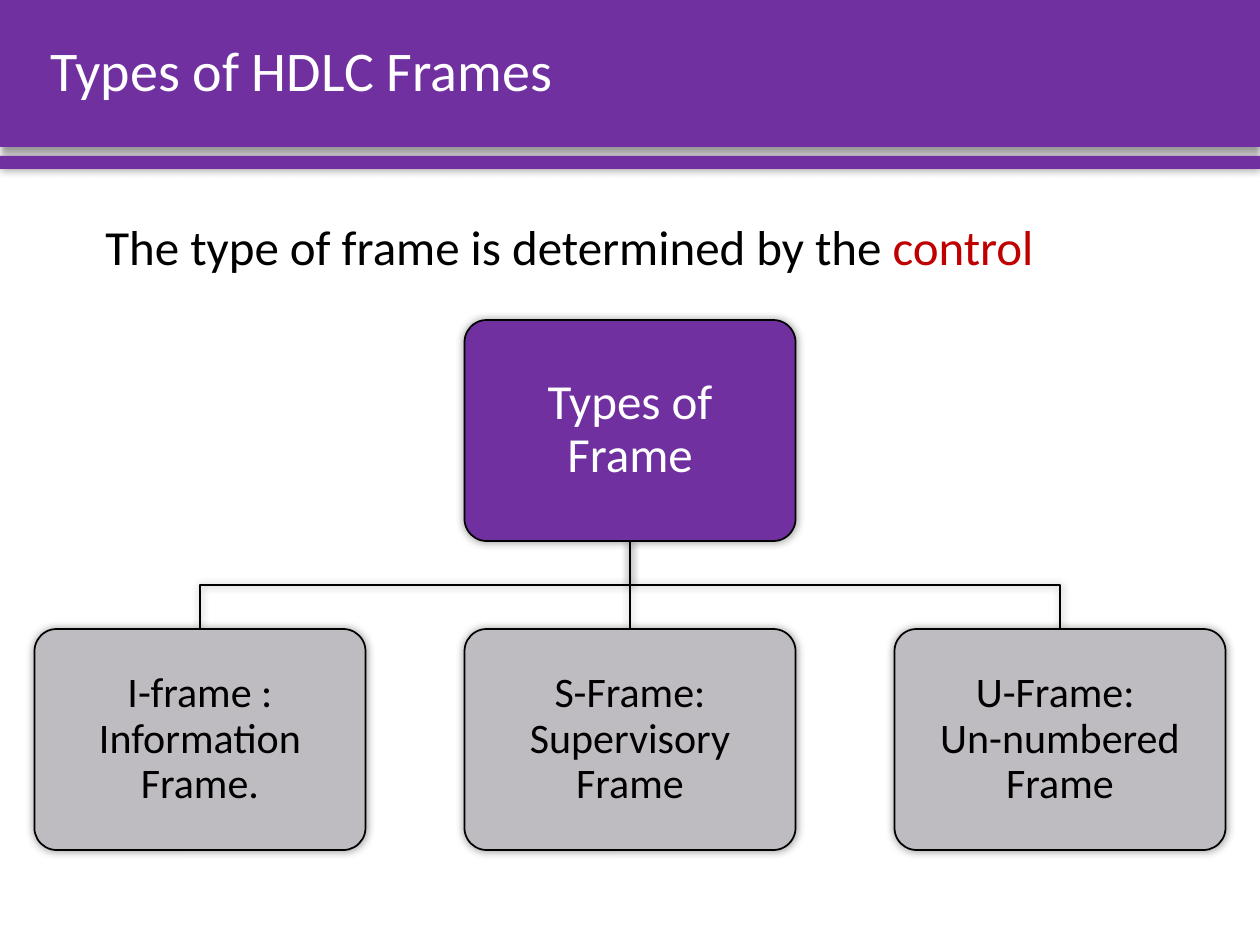
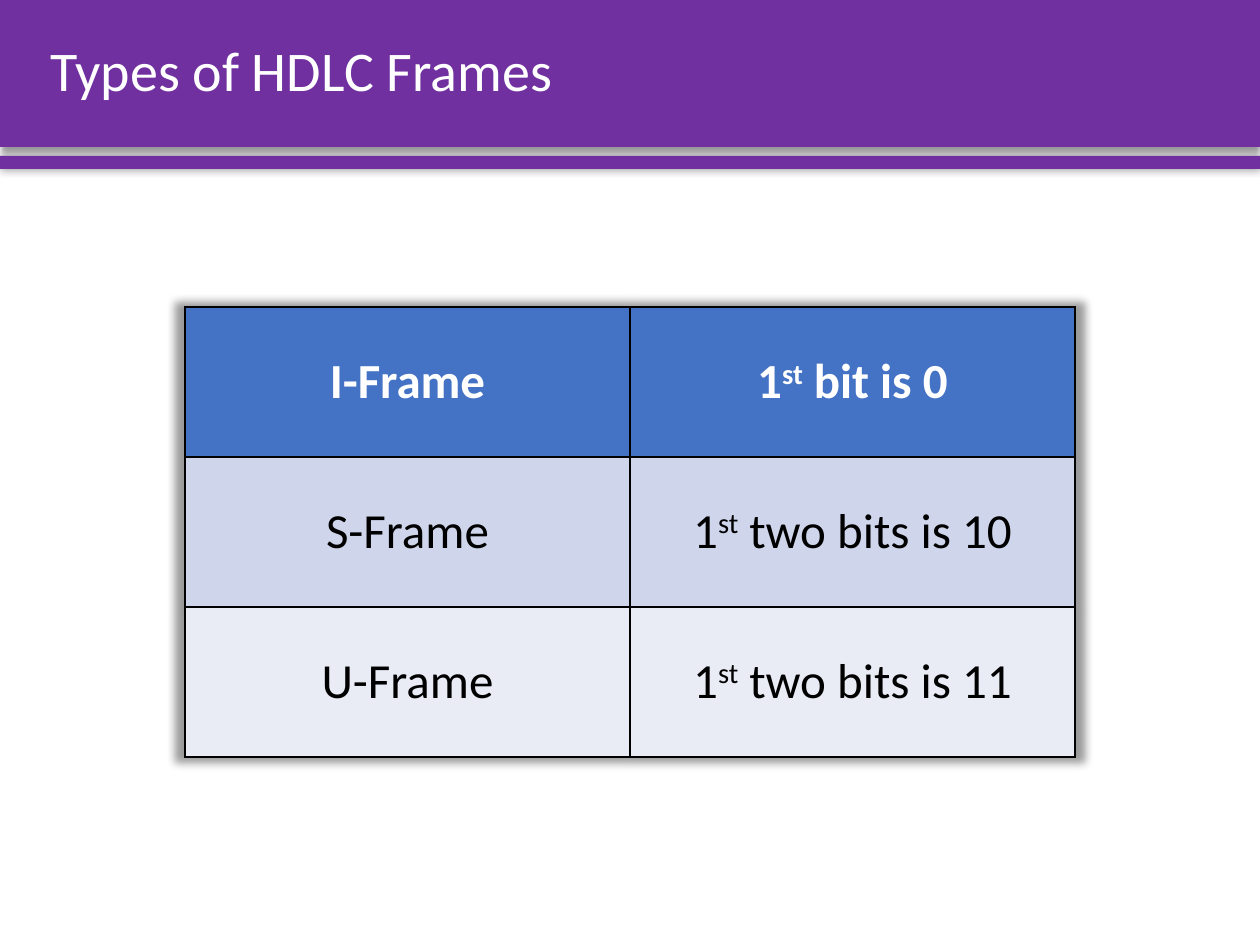
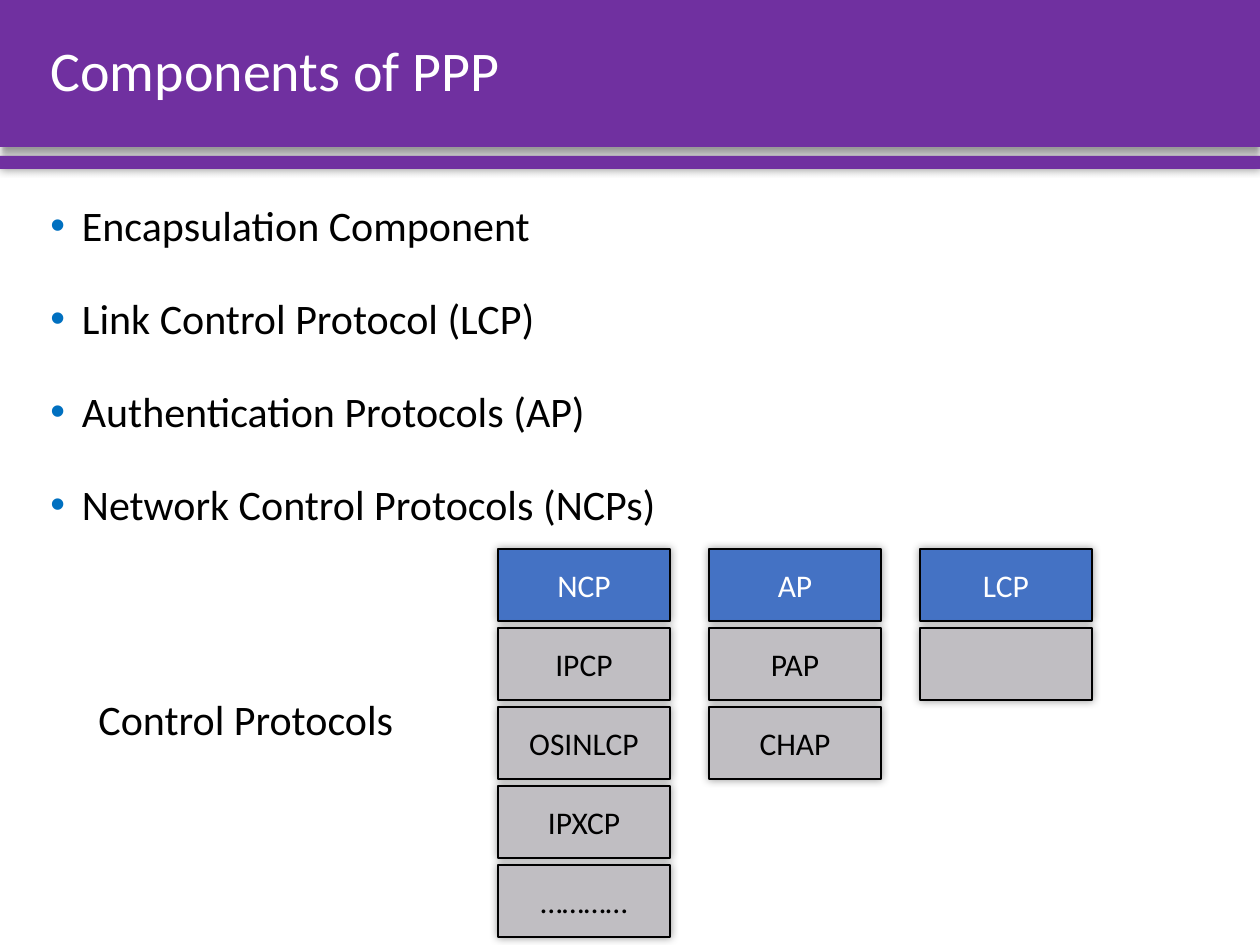
from pptx import Presentation
from pptx.dml.color import RGBColor
from pptx.enum.shapes import MSO_CONNECTOR, MSO_SHAPE
from pptx.enum.text import MSO_ANCHOR, MSO_AUTO_SIZE, PP_ALIGN
from pptx.oxml import parse_xml
from pptx.oxml.ns import nsdecls
from pptx.util import Emu, Pt

RECT, ROUNDED = MSO_SHAPE.RECTANGLE, MSO_SHAPE.ROUNDED_RECTANGLE
STRAIGHT = MSO_CONNECTOR.STRAIGHT
LEFT, CENTER, JUSTIFY = PP_ALIGN.LEFT, PP_ALIGN.CENTER, PP_ALIGN.JUSTIFY
TOP, MIDDLE = MSO_ANCHOR.TOP, MSO_ANCHOR.MIDDLE
NO_AUTOFIT = MSO_AUTO_SIZE.NONE

FONT = "Calibri"
PURPLE, BLUE, RED, BULLET = "7030A0", "4472C4", "C00000", "0070C0"
BLACK, WHITE = "000000", "FFFFFF"
NODE_GREY, CELL_GREY = "BFBCC1", "C0BEC2"
ROW_FILLS = [BLUE, "CFD5EA", "E9EBF5"]
PX_PER_INCH = 126


def px(n):
    return Emu(round(n * 914400 / PX_PER_INCH))


def rgb(color):
    return RGBColor.from_string(color)


# Text
def add_run(p, text, size=24, color=BLACK, bold=False, baseline=0):
    r = p.add_run()
    r.text = text
    r.font.name, r.font.size, r.font.bold = FONT, Pt(size), bold
    r.font.color.rgb = rgb(color)
    if baseline:
        r.font._element.set("baseline", str(baseline * 1000))


def write(p, text, align=LEFT, spacing=1.0, **fmt):
    """Text may hold line breaks; '^' marks sit around a superscript."""
    p.alignment, p.line_spacing = align, spacing
    for i, line in enumerate(text.split("\n")):
        if i:
            p.add_line_break()
        for j, part in enumerate(line.split("^")):
            add_run(p, part, baseline=30 * (j % 2), **fmt)


def add_textbox(s, x, y, w, h):
    tf = s.shapes.add_textbox(px(x), px(y), px(w), px(h)).text_frame
    tf.word_wrap = True
    return tf


def add_bullets(s, x, y, w, h, items):
    tf = add_textbox(s, x, y, w, h)
    for i, item in enumerate(items):
        p = tf.add_paragraph() if i else tf.paragraphs[0]
        write(p, item, align=JUSTIFY, spacing=1.5)
        if i:
            p.space_before = Pt(10)
        pPr = p._p.get_or_add_pPr()
        pPr.set("marL", str(Pt(18)))
        pPr.set("indent", str(-Pt(18)))
        pPr.append(parse_xml(f'<a:buClr {nsdecls("a")}><a:srgbClr val="{BULLET}"/></a:buClr>'))
        pPr.append(parse_xml(f'<a:buFont {nsdecls("a")} typeface="Arial"/>'))
        pPr.append(parse_xml(f'<a:buChar {nsdecls("a")} char="•"/>'))


# Shapes
def shadow(blur=5, dist=0, angle=0, scale=100):
    return parse_xml(
        f'<a:effectLst {nsdecls("a")}><a:outerShdw blurRad="{Pt(blur)}" dist="{Pt(dist)}" '
        f'dir="{angle * 60000}" sx="{scale * 1000}" sy="{scale * 1000}" algn="ctr" '
        f'rotWithShape="0"><a:srgbClr val="{BLACK}"><a:alpha val="40000"/></a:srgbClr>'
        f'</a:outerShdw></a:effectLst>')


def outline(sp):
    sp.line.color.rgb = rgb(BLACK)
    sp.line.width = Pt(1)
    sp._element.spPr.append(shadow())


def add_band(s, y, h, **effect):
    sp = s.shapes.add_shape(RECT, 0, px(y), px(1260), px(h))
    sp.fill.solid()
    sp.fill.fore_color.rgb = rgb(PURPLE)
    sp.line.fill.background()
    sp._element.spPr.append(shadow(**effect))
    return sp


def add_box(s, x, y, w, h, text, fill, kind=RECT, inset=6, **fmt):
    sp = s.shapes.add_shape(kind, px(x), px(y), px(w), px(h))
    if kind == ROUNDED:
        sp.adjustments[0] = 0.1
    sp.fill.solid()
    sp.fill.fore_color.rgb = rgb(fill)
    outline(sp)
    if text:
        tf = sp.text_frame
        tf.word_wrap, tf.vertical_anchor = True, MIDDLE
        tf.margin_left = tf.margin_right = px(inset)
        write(tf.paragraphs[0], text, align=CENTER, **fmt)


def add_branch(s, x1, y1, x2, y2):
    if x1 == x2:
        sp = s.shapes.add_connector(STRAIGHT, px(x1), px(y1), px(x2), px(y2))
    else:
        mid = (y1 + y2) // 2
        fb = s.shapes.build_freeform(px(x1), px(y1))
        fb.add_line_segments([(px(x), px(y)) for x, y in [(x1, mid), (x2, mid), (x2, y2)]],
                             close=False)
        sp = fb.convert_to_shape()
        sp.fill.background()
    outline(sp)


# Table
def add_cell_borders(cell):
    tcPr = cell._tc.get_or_add_tcPr()
    for i, side in enumerate("LRTB"):
        tcPr.insert(i, parse_xml(
            f'<a:ln{side} {nsdecls("a")} w="{Pt(1)}"><a:solidFill>'
            f'<a:srgbClr val="{BLACK}"/></a:solidFill></a:ln{side}>'))


def add_frame_table(s, x, y, w, h, rows):
    table = s.shapes.add_table(len(rows), len(rows[0]), px(x), px(y), px(w), px(h)).table
    table._tbl.tblPr.insert(0, shadow(scale=102))
    for i, row in enumerate(rows):
        for j, text in enumerate(row):
            cell = table.cell(i, j)
            cell.vertical_anchor = MIDDLE
            cell.fill.solid()
            cell.fill.fore_color.rgb = rgb(ROW_FILLS[i])
            add_cell_borders(cell)
            write(cell.text_frame.paragraphs[0], text, align=CENTER, size=28,
                  color=BLACK if i else WHITE, bold=i == 0)


# Slides
def add_bands_to_layout(s):
    tree = s.slide_layout.shapes._spTree
    tree.insert(2, add_band(s, 0, 147, blur=4, dist=3, angle=90)._element)
    tree.insert(3, add_band(s, 156, 13)._element)


def add_slide(prs, title):
    s = prs.slides.add_slide(prs.slide_layouts[5])
    sp = s.shapes.title
    sp.left, sp.top, sp.width, sp.height = px(38), px(0), px(1192), px(146)
    tf = sp.text_frame
    tf.auto_size, tf.vertical_anchor = NO_AUTOFIT, MIDDLE
    write(tf.paragraphs[0], title, spacing=0.9, size=32, color=WHITE)
    return s


def frame_types_slide(prs):
    s = add_slide(prs, "Types of HDLC Frames")
    add_bands_to_layout(s)
    # Frame tree
    w, h, root_y, leaf_y = 331, 221, 320, 629
    center = 630
    node = dict(kind=ROUNDED, inset=15, spacing=0.9)
    leaves = ["I-frame :\nInformation Frame.", "S-Frame: Supervisory Frame",
              "U-Frame: \nUn-numbered Frame"]
    for i, text in enumerate(leaves):
        x = center + (i - 1) * 430
        add_branch(s, center, root_y + h, x, leaf_y)
        add_box(s, x - w / 2, leaf_y, w, h, text, NODE_GREY, **node)
    add_box(s, center - w / 2, root_y, w, h, "Types of Frame", PURPLE,
            size=28, color=WHITE, **node)
    # Statement
    p = add_textbox(s, 93, 210, 1061, 72).paragraphs[0]
    write(p, "The type of frame is determined by the ", size=28)
    add_run(p, "control", size=28, color=RED)


def frame_bits_slide(prs):
    s = add_slide(prs, "Types of HDLC Frames")
    add_frame_table(s, 185, 307, 890, 450, [
        ("I-Frame", "1^st^ bit is 0"),
        ("S-Frame", "1^st^ two bits is 10"),
        ("U-Frame", "1^st^ two bits is 11"),
    ])


def ppp_slide(prs):
    s = add_slide(prs, "Components of PPP")
    add_bullets(s, 38, 168, 1192, 362, [
        "Encapsulation Component",
        "Link Control Protocol (LCP)",
        "Authentication Protocols (AP)",
        "Network Control Protocols (NCPs)",
    ])
    # Protocol columns, each with a header box
    columns = [("NCP", "IPCP", "OSINLCP", "IPXCP", "…………"),
               ("AP", "PAP", "CHAP"),
               ("LCP", "")]
    for i, column in enumerate(columns):
        for j, text in enumerate(column):
            add_box(s, 498 + 211 * i, 549 + 79 * j, 172, 72, text,
                    CELL_GREY if j else BLUE, size=18, color=BLACK if j else WHITE)
    write(add_textbox(s, 86, 687, 373, 63).paragraphs[0], "Control Protocols")


def main():
    prs = Presentation()
    prs.slide_width, prs.slide_height = px(1260), px(945)
    frame_types_slide(prs)
    frame_bits_slide(prs)
    ppp_slide(prs)
    prs.save("out.pptx")


if __name__ == "__main__":
    main()
